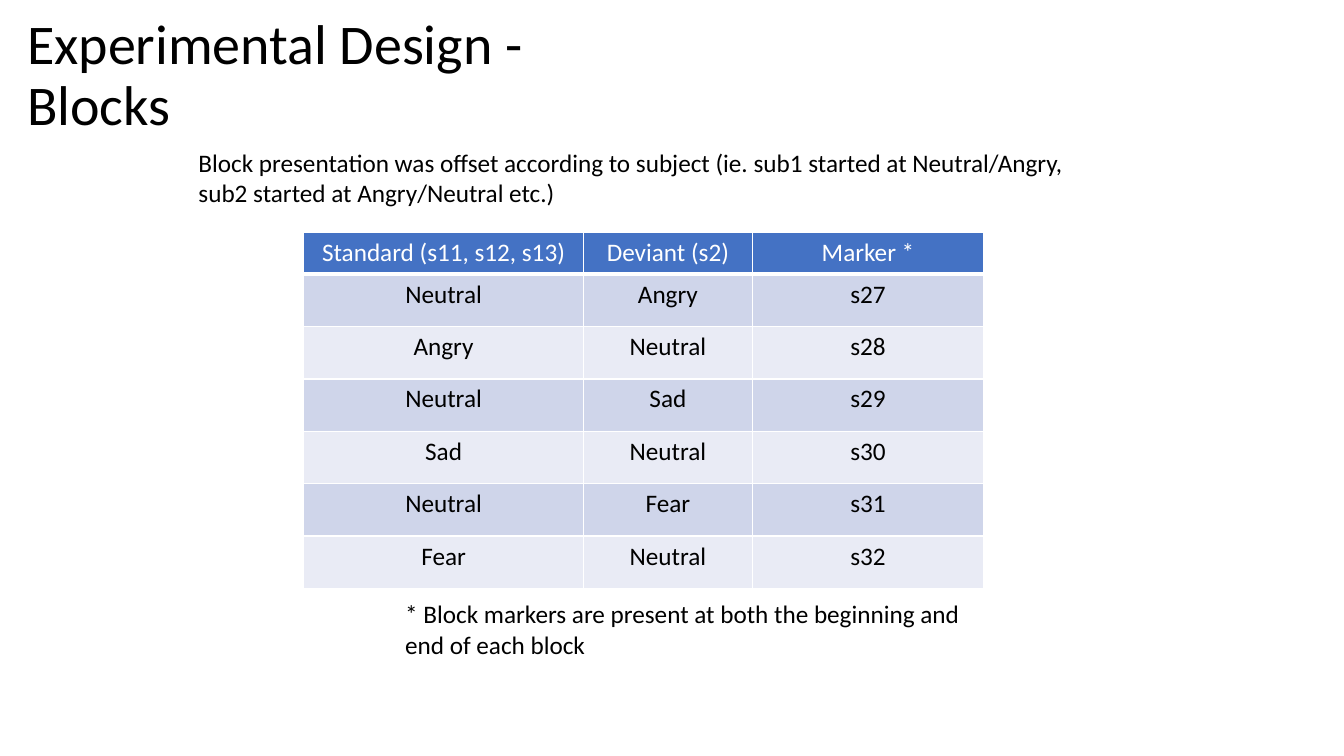
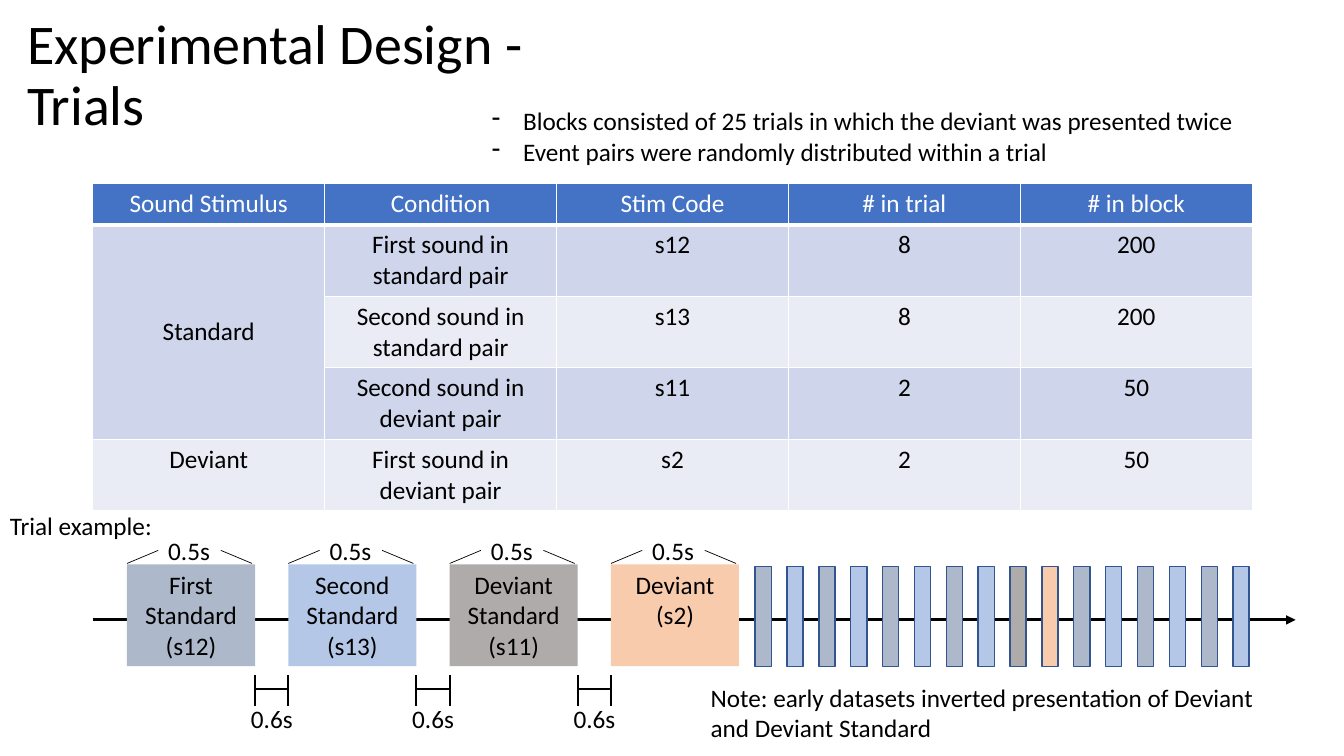
from pptx import Presentation
from pptx.dml.color import RGBColor
from pptx.enum.shapes import MSO_CONNECTOR, MSO_SHAPE
from pptx.enum.text import MSO_ANCHOR, PP_ALIGN
from pptx.oxml.ns import qn
from pptx.oxml.xmlchemy import OxmlElement
from pptx.util import Inches, Pt

FONT = "Calibri"
LEFT, CENTER = PP_ALIGN.LEFT, PP_ALIGN.CENTER
TOP, MIDDLE = MSO_ANCHOR.TOP, MSO_ANCHOR.MIDDLE
RECTANGLE = MSO_SHAPE.RECTANGLE
STRAIGHT = MSO_CONNECTOR.STRAIGHT

BLACK = RGBColor(0x00, 0x00, 0x00)
WHITE = RGBColor(0xFF, 0xFF, 0xFF)
HEADER_BLUE = RGBColor(0x44, 0x72, 0xC4)
ROW_DARK = RGBColor(0xCF, 0xD5, 0xEA)
ROW_LIGHT = RGBColor(0xE9, 0xEB, 0xF5)
BAR_OUTLINE = RGBColor(0x32, 0x54, 0x91)
FIRST_STANDARD = RGBColor(0xAD, 0xB9, 0xCA)
SECOND_STANDARD = RGBColor(0xB4, 0xC7, 0xE7)
DEVIANT_STANDARD = RGBColor(0xAF, 0xAB, 0xAB)
DEVIANT = RGBColor(0xF8, 0xCB, 0xAD)

BLOCK_ROWS = [
    ("Standard (s11, s12, s13)", "Deviant (s2)", "Marker *"),
    ("Neutral", "Angry", "s27"),
    ("Angry", "Neutral", "s28"),
    ("Neutral", "Sad", "s29"),
    ("Sad", "Neutral", "s30"),
    ("Neutral", "Fear", "s31"),
    ("Fear", "Neutral", "s32"),
]
TRIAL_ROWS = [
    ("Sound Stimulus", "Condition", "Stim Code", "# in trial", "# in block"),
    ("Standard", "First sound in standard pair", "s12", "8", "200"),
    (None, "Second sound in standard pair", "s13", "8", "200"),
    (None, "Second sound in deviant pair", "s11", "2", "50"),
    ("Deviant", "First sound in deviant pair", "s2", "2", "50"),
]
SOUNDS = [
    ("First Standard (s12)", FIRST_STANDARD),
    ("Second Standard (s13)", SECOND_STANDARD),
    ("Deviant Standard (s11)", DEVIANT_STANDARD),
    ("Deviant (s2)", DEVIANT),
]
STANDARD_PAIR = [FIRST_STANDARD, SECOND_STANDARD]
EVENT_BARS = STANDARD_PAIR * 4 + [DEVIANT_STANDARD, DEVIANT] + STANDARD_PAIR * 3

SOUND_LEFT, SOUND_TOP, SOUND_WIDTH, SOUND_HEIGHT = 1.26, 5.6, 1.27, 1.01
SOUND_PITCH = 1.6
BAR_FIRST, BAR_LAST, BAR_TOP = 7.49, 12.23, 5.62
LABEL_WIDTH, LABEL_HEIGHT = 0.62, 0.4


def write_text(frame, text, *, size=18, color=BLACK, align=LEFT, line_spacing=None, bullet=None):
    """Fill a text frame, one paragraph per line of text."""
    for index, line in enumerate(text.split("\n")):
        paragraph = frame.paragraphs[0] if index == 0 else frame.add_paragraph()
        paragraph.alignment = align
        if line_spacing:
            paragraph.line_spacing = line_spacing
        if bullet:
            add_bullet(paragraph, bullet)
        run = paragraph.add_run()
        run.text = line
        run.font.name = FONT
        run.font.size = Pt(size)
        run.font.color.rgb = color


def add_bullet(paragraph, character):
    properties = paragraph._p.get_or_add_pPr()
    properties.set("marL", str(Inches(0.31)))
    properties.set("indent", str(-Inches(0.31)))
    bullet = OxmlElement("a:buChar")
    bullet.set("char", character)
    properties.append(bullet)


def add_text(slide, text, left, top, width, height, *, wrap=True, anchor=TOP, **text_format):
    box = slide.shapes.add_textbox(Inches(left), Inches(top), Inches(width), Inches(height))
    box.text_frame.word_wrap = wrap
    box.text_frame.vertical_anchor = anchor
    write_text(box.text_frame, text, **text_format)


def add_title(slide, text):
    add_text(slide, text, 0.17, 0.12, 6.21, 1.28, anchor=MIDDLE, size=40, line_spacing=0.9)


def add_rectangle(slide, left, top, width, height, fill, *, text=None, outline=None):
    shape = slide.shapes.add_shape(
        RECTANGLE, Inches(left), Inches(top), Inches(width), Inches(height))
    shape.shadow.inherit = False
    shape.fill.solid()
    shape.fill.fore_color.rgb = fill
    if outline:
        shape.line.color.rgb = outline
        shape.line.width = Pt(1)
    else:
        shape.line.fill.background()
    if text:
        shape.text_frame.word_wrap = True
        shape.text_frame.vertical_anchor = TOP
        write_text(shape.text_frame, text, align=CENTER)


def add_line(slide, start, end, width, *, arrow=False):
    points = [Inches(value) for value in (*start, *end)]
    connector = slide.shapes.add_connector(STRAIGHT, *points)
    connector.line.color.rgb = BLACK
    connector.line.width = Pt(width)
    properties = connector._element.spPr
    if arrow:
        tail = OxmlElement("a:tailEnd")
        tail.set("type", "triangle")
        properties.find(qn("a:ln")).append(tail)
    properties.append(OxmlElement("a:effectLst"))


def add_cell_borders(cell, bottom_width):
    """Draw white borders; call before the cell is filled."""
    properties = cell._tc.get_or_add_tcPr()
    for side, width in (("L", 1), ("R", 1), ("T", 1), ("B", bottom_width)):
        border = OxmlElement(f"a:ln{side}")
        border.set("w", str(Pt(width)))
        fill = OxmlElement("a:solidFill")
        color = OxmlElement("a:srgbClr")
        color.set("val", str(WHITE))
        fill.append(color)
        border.append(fill)
        properties.append(border)


def add_table(slide, rows, left, top, column_widths, row_height):
    """Add a banded table; None continues the cell above."""
    header_height = 0.41
    height = header_height + row_height * (len(rows) - 1)
    table = slide.shapes.add_table(
        len(rows), len(column_widths), Inches(left), Inches(top),
        Inches(sum(column_widths)), Inches(height)).table
    for column, width in zip(table.columns, column_widths):
        column.width = Inches(width)
    for row_index, values in enumerate(rows):
        is_header = row_index == 0
        table.rows[row_index].height = Inches(header_height if is_header else row_height)
        band = HEADER_BLUE if is_header else ROW_DARK if row_index % 2 else ROW_LIGHT
        for column_index, value in enumerate(values):
            cell = table.cell(row_index, column_index)
            add_cell_borders(cell, 3 if is_header else 1)
            cell.fill.solid()
            cell.fill.fore_color.rgb = band
            if value is not None:
                write_text(cell.text_frame, value, align=CENTER,
                           color=WHITE if is_header else BLACK)
    return table


def add_sound(slide, left, text, fill):
    """Add a sound box with its duration above it."""
    add_rectangle(slide, left, SOUND_TOP, SOUND_WIDTH, SOUND_HEIGHT, fill, text=text)
    slant = 0.31
    right = left + 2 * slant + LABEL_WIDTH
    add_text(slide, "0.5s", left + slant, 5.26, LABEL_WIDTH, LABEL_HEIGHT, wrap=False)
    for outer, inner in ((left, left + slant), (right, right - slant)):
        add_line(slide, (outer, 5.59), (inner, 5.46), 0.5)


def add_gap(slide, left, right):
    """Mark the pause between two sounds."""
    add_line(slide, (left, 6.84), (right, 6.84), 1.5)
    for tick in (left, right):
        add_line(slide, (tick, 6.7), (tick, 7), 1.5)
    add_text(slide, "0.6s", left - 0.14, 6.93, LABEL_WIDTH, LABEL_HEIGHT, wrap=False)


def add_timeline(slide):
    add_text(slide, "Trial example:", 0, 5.01, 1.63, LABEL_HEIGHT, wrap=False)
    add_line(slide, (0.92, 6.15), (12.85, 6.15), 2.25, arrow=True)
    for index, (text, fill) in enumerate(SOUNDS):
        left = SOUND_LEFT + index * SOUND_PITCH
        add_sound(slide, left, text, fill)
        if index:
            add_gap(slide, left - SOUND_PITCH + SOUND_WIDTH, left)
    bar_pitch = (BAR_LAST - BAR_FIRST) / (len(EVENT_BARS) - 1)
    for index, fill in enumerate(EVENT_BARS):
        add_rectangle(slide, BAR_FIRST + index * bar_pitch, BAR_TOP, 0.16, 0.99, fill,
                      outline=BAR_OUTLINE)


def build_blocks_slide(slide):
    add_title(slide, "Experimental Design - Blocks")
    add_table(slide, BLOCK_ROWS, 3.01, 2.31, [2.78, 1.67, 2.3], 0.52)
    add_text(slide, "Block presentation was offset according to subject (ie. sub1 started at "
             "Neutral/Angry, sub2 started at Angry/Neutral etc.)", 1.87, 1.41, 9.26, 0.71)
    add_text(slide, "* Block markers are present at both the beginning and end of each block",
             3.92, 5.89, 5.83, 0.71)


def build_trials_slide(slide):
    add_title(slide, "Experimental Design - Trials")
    add_text(slide, "Blocks consisted of 25 trials in which the deviant was presented twice\n"
             "Event pairs were randomly distributed within a trial",
             4.78, 1, 7.64, 0.71, wrap=False, bullet="-")
    table = add_table(slide, TRIAL_ROWS, 0.92, 1.82, [2.3] * 5, 0.71)
    standard_cell = table.cell(1, 0)
    standard_cell.merge(table.cell(3, 0))
    standard_cell.vertical_anchor = MIDDLE
    add_timeline(slide)
    add_text(slide, "Note: early datasets inverted presentation of Deviant and Deviant Standard",
             6.95, 6.72, 5.9, 0.71)


def main():
    presentation = Presentation()
    presentation.slide_width = Inches(13.33)
    presentation.slide_height = Inches(7.5)
    blank_layout = presentation.slide_layouts[6]
    for build_slide in (build_blocks_slide, build_trials_slide):
        build_slide(presentation.slides.add_slide(blank_layout))
    presentation.save("out.pptx")


if __name__ == "__main__":
    main()
